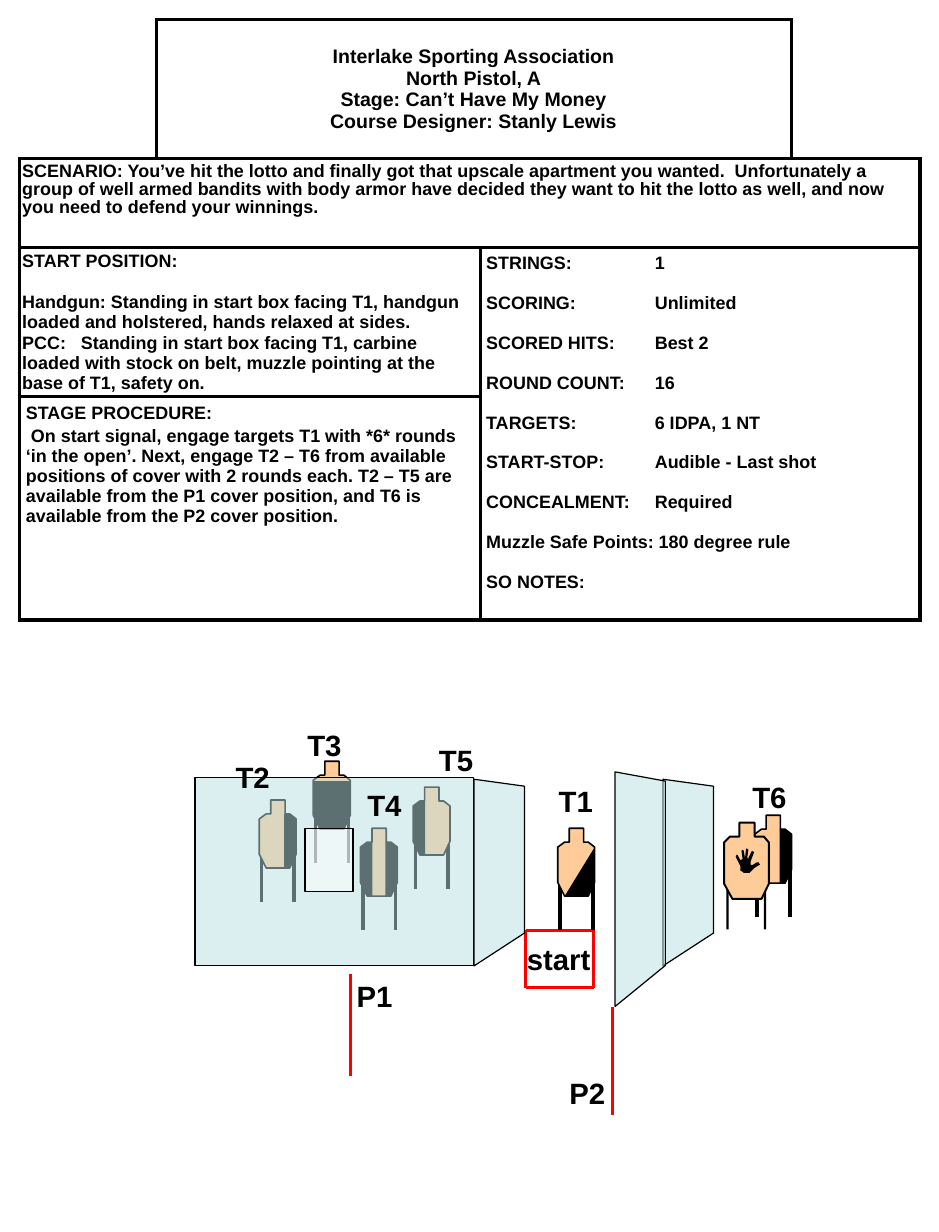
from pptx import Presentation
from pptx import util as u
from pptx.dml import color
from pptx.enum import shapes, text
from pptx.oxml import ns
from lxml import etree

BLACK, WHITE, RED, GLASS, SKIN = "000000", "FFFFFF", "FF0000", "BBE0E3", "FFCC99"

BODY = [(.25, 0), (.56, 0), (.56, .3), (.66, .3), (.8, .41), (.8, 1.17), (.66, 1.47),
        (.15, 1.47), (0, 1.17), (0, .41), (.15, .3), (.25, .3)]
RIGHT_HALF = [(.54, .3), (.66, .3), (.8, .41), (.8, 1.17), (.66, 1.47), (.54, 1.47)]
LEFT_HALF = [(.8 - x, y) for x, y in RIGHT_HALF]
CHEST = [(0, .43), (.8, .43), (.8, 1.17), (.66, 1.47), (.15, 1.47), (0, 1.17)]
DIAGONAL = [(.8, .41), (.8, 1.17), (.66, 1.47), (.15, 1.47)]
THREAT_FREE = [(.33, 0), (.33, .3), (.13, .3), (0, .43), (0, 1.32), (.18, 1.65), (.81, 1.65),
               (.97, 1.32), (.97, .43), (.86, .3), (.66, .3), (.66, 0)]
HAND = [(14, 19), (12, 21), (7, 21), (6, 20), (4, 19), (4, 15), (3, 13), (2, 11), (0, 7),
        (1, 5), (2, 6), (4, 10), (6, 9), (5, 2), (6, 1), (7, 2), (8, 8), (8, 9), (9, 0),
        (10, 0), (11, 1), (10, 8), (11, 9), (11, 8), (14, 2), (16, 3), (13, 11), (13, 14),
        (15, 14), (18, 12), (20, 12), (21, 14), (19, 15), (16, 17)]


def rgb(value):
    return color.RGBColor.from_string(value)


def child(parent, tag, **attributes):
    return etree.SubElement(parent, ns.qn(tag), attributes)


def paint(shape, fill, width=0, alpha=None):
    shape.shadow.inherit = False
    shape.fill.solid()
    shape.fill.fore_color.rgb = rgb(fill)
    if alpha:
        srgb = next(shape._element.spPr.iter(ns.qn("a:srgbClr")))
        child(srgb, "a:alpha", val=str(alpha * 1000))
    if width:
        shape.line.color.rgb = rgb(BLACK)
        shape.line.width = u.Pt(width)
    else:
        shape.line.fill.background()


def outline(parts, left, top, points, fill, width=0, alpha=None):
    corners = [(u.Cm(left + x), u.Cm(top + y)) for x, y in points]
    builder = parts.build_freeform(*corners[0])
    builder.add_line_segments(corners[1:], close=True)
    paint(builder.convert_to_shape(), fill, width, alpha)


def rectangle(parts, left, top, width, height, fill, line=0, alpha=None):
    shape = parts.add_shape(shapes.MSO_SHAPE.RECTANGLE, u.Cm(left), u.Cm(top),
                            u.Cm(width), u.Cm(height))
    paint(shape, fill, line, alpha)


def line(parts, x1, y1, x2, y2, shade, width):
    rule = parts.add_connector(shapes.MSO_CONNECTOR.STRAIGHT,
                               u.Cm(x1), u.Cm(y1), u.Cm(x2), u.Cm(y2))
    rule.line.color.rgb = rgb(shade)
    rule.line.width = u.Pt(width)
    child(rule._element.spPr, "a:effectLst")


def add_span(para, words, size):
    span = para.add_run()
    span.text = words
    span.font.name = "Arial"
    span.font.size = u.Pt(size)
    span.font.bold = True
    span.font.color.rgb = rgb(BLACK)


def label(parts, left, top, words, width=1.47):
    box = parts.add_textbox(u.Cm(left), u.Cm(top), u.Cm(width), u.Cm(1.02))
    box.text_frame.word_wrap = True
    add_span(box.text_frame.paragraphs[0], words, 18)


def set_cell(cell, sides):
    props = cell._tc.get_or_add_tcPr()
    for side in "LRTB":
        edge = child(props, f"a:ln{side}", w=str(u.Pt(2.25)))
        if side in sides:
            child(child(edge, "a:solidFill"), "a:srgbClr", val=BLACK)
        else:
            child(edge, "a:noFill")
    cell.fill.solid()
    cell.fill.fore_color.rgb = rgb(WHITE)


def write(cell, lines, gaps, insets, tab=None):
    cell.margin_left = cell.margin_right = u.Cm(insets[0])
    cell.margin_top = cell.margin_bottom = u.Cm(insets[1])
    paras = []
    for index, words in enumerate(lines):
        para = cell.text_frame.paragraphs[0] if index == 0 else cell.text_frame.add_paragraph()
        if index:
            para.space_before = u.Pt(gaps[index - 1])
        if "\t" in words:
            stops = child(para._p.get_or_add_pPr(), "a:tabLst")
            child(stops, "a:tab", pos=str(u.Cm(tab)), algn="l")
        add_span(para, words, 11)
        paras.append(para)
    return paras


def stage_table(page, left, top, widths, heights):
    frame = page.shapes.add_table(len(heights), len(widths), u.Cm(left), u.Cm(top),
                                  u.Cm(sum(widths)), u.Cm(sum(heights)))
    grid = frame.table
    grid.first_row = grid.horz_banding = False
    for column, width in zip(grid.columns, widths):
        column.width = u.Cm(width)
    for row, height in zip(grid.rows, heights):
        row.height = u.Cm(height)
    corners = {(0, 0): "RB", (0, 3): "LB"}
    for row in range(4):
        for column in range(4):
            set_cell(grid.cell(row, column), corners.get((row, column), "LRTB"))
    for first, last in [((0, 1), (0, 2)), ((1, 0), (1, 3)), ((2, 0), (2, 1)),
                        ((2, 2), (3, 3)), ((3, 0), (3, 1))]:
        grid.cell(*first).merge(grid.cell(*last))

    heading = grid.cell(0, 1)
    heading.vertical_anchor = text.MSO_ANCHOR.MIDDLE
    para = heading.text_frame.paragraphs[0]
    para.alignment = text.PP_ALIGN.CENTER
    for index, words in enumerate(["Interlake Sporting Association", "North Pistol, A",
                                   "Stage: Can’t Have My Money",
                                   "Course Designer: Stanly Lewis"]):
        if index:
            para.add_line_break()
        add_span(para, words, 12)

    scenario = write(grid.cell(1, 0), [
        "SCENARIO: You’ve hit the lotto and finally got that upscale apartment you wanted.  "
        "Unfortunately a group of well armed bandits with body armor have decided they want to "
        "hit the lotto as well, and now you need to defend your winnings."], [], (.05, .1))
    scenario[0].line_spacing = .9
    write(grid.cell(2, 0), [
        "START POSITION:",
        "Handgun: Standing in start box facing T1, handgun loaded and holstered, hands relaxed "
        "at sides.",
        "PCC:\tStanding in start box facing T1, carbine loaded with stock on belt, muzzle "
        "pointing at the base of T1, safety on."], [12.8, .6], (.05, .08), 1.27)
    write(grid.cell(2, 2), [
        "STRINGS:\t1", "SCORING:\tUnlimited", "SCORED HITS:\tBest 2", "ROUND COUNT:\t16",
        "TARGETS:\t6 IDPA, 1 NT", "START-STOP:\tAudible - Last shot", "CONCEALMENT:\tRequired",
        "Muzzle Safe Points: 180 degree rule", "SO NOTES:"], [12.2] * 8, (.13, .13), 3.65)
    procedure = write(grid.cell(3, 0), [
        "STAGE PROCEDURE:",
        "On start signal, engage targets T1 with *6* rounds ‘in the open’. Next, engage T2 – T6 "
        "from available positions of cover with 2 rounds each. T2 – T5 are available from the "
        "P1 cover position, and T6 is available from the P2 cover position."], [2.4], (.13, .13))
    procedure[1]._p.get_or_add_pPr().set("indent", str(u.Cm(.11)))


def target(page, left, top, covers):
    parts = page.shapes.add_group_shape().shapes
    for x in (.05, .76):
        line(parts, left + x, top + 1.1, left + x, top + 2.2, BLACK, 2.25)
    outline(parts, left, top, BODY, SKIN, 1)
    for cover in covers:
        outline(parts, left, top, cover, BLACK)


def no_shoot(page, left, top):
    parts = page.shapes.add_group_shape().shapes
    for x in (.05, .86):
        rectangle(parts, left + x, top + 1.22, .05, 1.09, BLACK)
    outline(parts, left, top, THREAT_FREE, "FDCC99", 1.2)
    outline(parts, left + .25, top + .56, [(x * .025, y * .025) for x, y in HAND], BLACK)


def start_box(page, left, top, width, height):
    parts = page.shapes.add_group_shape().shapes
    right, bottom = left + width, top + height
    for ends in [(left, top, right, top), (right, top, right, bottom),
                 (left, top, left, bottom), (left, bottom, right, bottom)]:
        line(parts, *ends, RED, 2)
    label(parts, left - .23, top + .1, "start", 2.18)


def stage_map(page, left, top):
    parts = page.shapes
    for x, y, covers in [(4.72, 1.42, [LEFT_HALF]), (1.39, 1.7, [RIGHT_HALF]),
                         (3.58, 2.31, [RIGHT_HALF, LEFT_HALF]), (2.56, .86, [CHEST]),
                         (12.11, 2.03, [RIGHT_HALF])]:
        target(page, left + x, top + y, covers)
    no_shoot(page, left + 11.45, top + 2.19)
    start_box(page, left + 7.16, top + 4.52, 1.47, 1.24)
    for x, y1, y2 in [(9.04, 6.17, 8.51), (3.37, 5.46, 7.67)]:
        line(parts, left + x, top + y1, left + x, top + y2, RED, 2)
    target(page, left + 7.85, top + 2.31, [DIAGONAL])

    rectangle(parts, left, top + 1.22, 6.02, 4.06, GLASS, .75, 50)
    rectangle(parts, left + 2.38, top + 2.31, 1.04, 1.37, WHITE, .75, 50)
    wing = [(0, 4.04), (0, 0), (1.09, .15), (1.09, 3.33)]
    tall_wing = [(0, 5.08), (0, 0), (1.09, .2), (1.09, 4.19)]
    for x, y, points in [(6.04, 1.25, wing), (10.13, 1.25, wing), (9.09, 1.09, tall_wing)]:
        outline(parts, left + x, top + y, points, GLASS, .75, 50)

    for words, x, y in [("P2", 7.85, 7.54), ("P1", 3.25, 5.44), ("T1", 7.62, 1.22),
                        ("T2", .63, .69), ("T3", 2.18, 0), ("T6", 11.81, 1.12),
                        ("T5", 5.03, .33), ("T4", 3.48, 1.3)]:
        label(parts, left + x, top + y, words)


def main():
    deck = Presentation()
    deck.slide_width, deck.slide_height = u.Cm(20.32), u.Cm(26.67)
    page = deck.slides.add_slide(deck.slide_layouts[6])
    stage_table(page, .43, .43, [2.95, 7.01, 6.73, 2.79], [3, 1.93, 3.23, 4.83])
    stage_map(page, 4.22, 15.62)
    deck.save("out.pptx")


if __name__ == "__main__":
    main()
